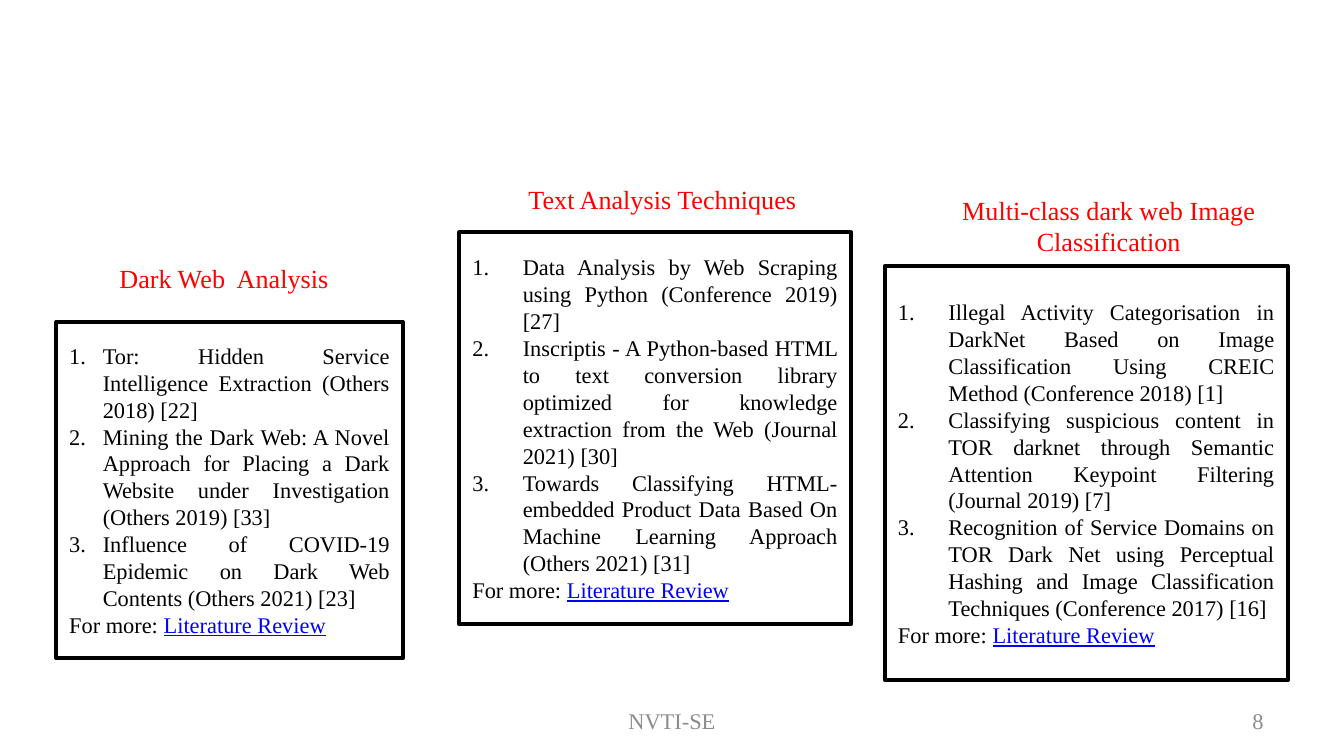
from pptx import Presentation
from pptx.dml.color import RGBColor
from pptx.enum.shapes import MSO_SHAPE
from pptx.enum.text import MSO_ANCHOR, PP_ALIGN
from pptx.oxml.xmlchemy import OxmlElement
from pptx.util import Inches, Pt

BLACK = RGBColor(0x00, 0x00, 0x00)
WHITE = RGBColor(0xFF, 0xFF, 0xFF)
RED = RGBColor(0xFF, 0x00, 0x00)
BLUE = RGBColor(0x00, 0x00, 0xFF)
GREY = RGBColor(0x8C, 0x8C, 0x8C)


class Deck:
    """Style and current slide; lengths are cells of a 120-column grid."""
    font = "Times New Roman"
    cell = Inches(10) / 120

    def __init__(self, show):
        self.slide = show.slides.add_slide(show.slide_layouts[6])

    def place(self, spot):
        return [round(n * self.cell) for n in spot]

    def style(self, run, size, color):
        run.font.name = self.font
        run.font.size = Pt(size)
        run.font.color.rgb = color

    def label(self, spot, text, size, color, align, anchor=MSO_ANCHOR.TOP):
        frame = self.slide.shapes.add_textbox(*self.place(spot)).text_frame
        frame.word_wrap = True
        frame.vertical_anchor = anchor
        para = frame.paragraphs[0]
        para.text = text
        para.alignment = align
        self.style(para.runs[0], size, color)

    def indent(self, para, width, number):
        shift = round(width * self.cell)
        props = para._p.get_or_add_pPr()
        props.set("marL", str(shift))
        props.set("indent", str(-shift))
        if number:
            mark = OxmlElement("a:buAutoNum")
            mark.set("type", "arabicPeriod")
        else:
            mark = OxmlElement("a:buNone")
        props.append(mark)

    def panel(self, spot, items, width):
        box = self.slide.shapes.add_shape(MSO_SHAPE.RECTANGLE, *self.place(spot))
        box.shadow.inherit = False
        box.fill.solid()
        box.fill.fore_color.rgb = WHITE
        box.line.color.rgb = BLACK
        box.line.width = Pt(2)
        frame = box.text_frame
        frame.word_wrap = True
        frame.vertical_anchor = MSO_ANCHOR.MIDDLE
        # Numbered papers, then the closing reference
        for i, text in enumerate(items + ["For more: "]):
            para = frame.add_paragraph() if i else frame.paragraphs[0]
            para.text = text
            para.alignment = PP_ALIGN.JUSTIFY
            self.indent(para, width, i < len(items))
            self.style(para.runs[0], 12, BLACK)
        link = para.add_run()
        link.text = "Literature Review"
        self.style(link, 12, BLUE)
        link.font.underline = True


# Heading, its place and alignment, panel place, indent, papers
TOPICS = [
    ("Dark Web  Analysis", (3, 22.8, 34, 4.04), PP_ALIGN.CENTER,
     (5, 28.75, 31, 30), 3, [
         "Tor: Hidden Service Intelligence Extraction (Others 2018) [22]",
         "Mining the Dark Web: A Novel Approach for Placing a Dark Website "
         "under Investigation (Others 2019) [33]",
         "Influence of COVID-19 Epidemic on Dark Web Contents "
         "(Others 2021) [23]"]),
    ("Multi-class dark web Image Classification", (82, 16.75, 34, 6.87),
     PP_ALIGN.CENTER, (79, 23.75, 36, 37), 4.5, [
         "Illegal Activity Categorisation in DarkNet Based on Image "
         "Classification Using CREIC Method (Conference 2018) [1]",
         "Classifying suspicious content in TOR darknet through Semantic "
         "Attention Keypoint Filtering (Journal 2019) [7]",
         "Recognition of Service Domains on TOR Dark Net using Perceptual "
         "Hashing and Image Classification Techniques "
         "(Conference 2017) [16]"]),
    ("Text Analysis Techniques", (46, 15.75, 29.4, 4.04), PP_ALIGN.LEFT,
     (41, 20.75, 35, 35), 4.5, [
         "Data Analysis by Web Scraping using Python (Conference 2019) [27]",
         "Inscriptis - A Python-based HTML to text conversion library "
         "optimized for knowledge extraction from the Web "
         "(Journal 2021) [30]",
         "Towards Classifying HTML-embedded Product Data Based On Machine "
         "Learning Approach (Others 2021) [31]"]),
]


def main():
    show = Presentation()
    show.slide_width = Inches(10)
    show.slide_height = show.slide_width * 9 // 16
    deck = Deck(show)

    # Footer and page number
    deck.label((41, 62.56, 38, 3.6), "NVTI-SE", 12, GREY,
               PP_ALIGN.CENTER, MSO_ANCHOR.MIDDLE)
    deck.label((86, 62.56, 28, 3.6), "8", 12, GREY,
               PP_ALIGN.RIGHT, MSO_ANCHOR.MIDDLE)

    # Topic panels with their headings
    for head, spot, align, area, width, papers in TOPICS:
        deck.panel(area, papers, width)
        deck.label(spot, head, 14, RED, align)

    show.save("out.pptx")


if __name__ == "__main__":
    main()
